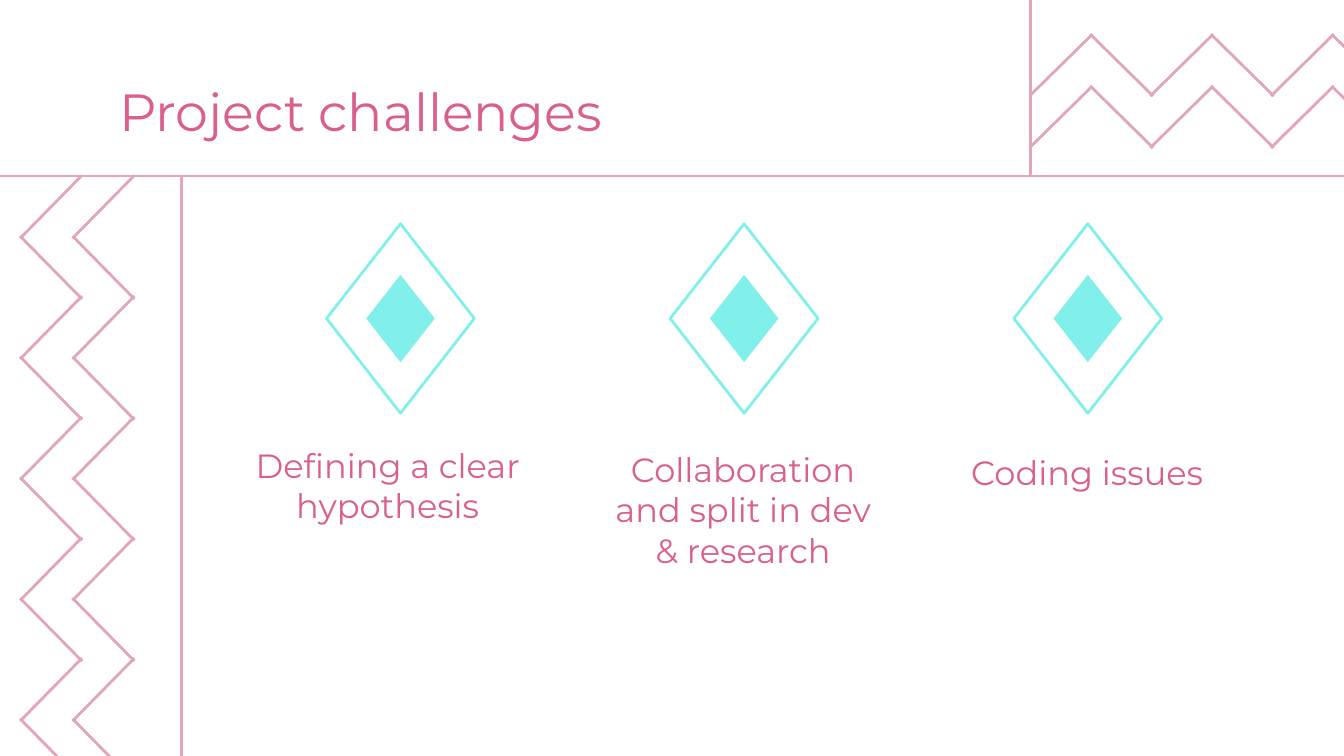
from dataclasses import dataclass

from pptx import Presentation
from pptx.dml.color import RGBColor as Rgb
from pptx.enum.shapes import MSO_CONNECTOR as Wire, MSO_SHAPE as Form
from pptx.enum.text import MSO_ANCHOR as Anchor, PP_ALIGN as Align
from pptx.oxml.ns import qn
from pptx.slide import Slide
from pptx.util import Inches, Pt

COLS, ROWS = 100, 56.25
CELL = Inches(0.1)
FONT = "Montserrat"
HUES = {"text": "D95F8E", "line": "E1A5BC", "gem": "81F0EA"}
STROKE = Pt(1.5)
STEP = 8.98  # gap between zigzag tips
ARM = 4.6    # run of one zigzag arm
SLIP = 0.08  # overlap of two arms at a tip


@dataclass
class Label:
    lines: list[str]
    col: float
    row: float
    wide: float
    high: float = 6
    size: int = 18
    align: Align = Align.CENTER
    anchor: Anchor = Anchor.BOTTOM


@dataclass
class Zigzag:
    col: float
    row: float
    tips: int
    down: bool


TITLE = Label(["Project challenges"], 7.9, 4.9, 84.3, 6.4, 28, Align.LEFT, Anchor.TOP)
LABELS = [
    Label(["Defining a clear hypothesis"], 16.6, 34.1, 24.5),
    Label(["Collaboration", "and split in dev & research"], 44, 37.4, 22.6),
    Label(["Coding issues"], 69.6, 31.6, 22.6),
]
RULES = [
    (-1.8, 13.1, COLS + 1.8, 13.1),
    (76.7, -3.2, 76.7, 13.1),
    (13.5, 13, 13.5, ROWS + 1.5),
]
ZIGZAGS = [
    Zigzag(81.2, 6.4, 3, False),
    Zigzag(81.2, 2.55, 3, False),
    Zigzag(5.4, 17.65, 5, True),
    Zigzag(1.5, 17.65, 5, True),
]


def grid(*cells: float) -> list[int]:
    return [round(cell * CELL) for cell in cells]


def hue(name: str) -> Rgb:
    return Rgb.from_string(HUES[name])


def draw_label(slide: Slide, label: Label) -> None:
    frame = slide.shapes.add_textbox(
        *grid(label.col, label.row, label.wide, label.high)).text_frame
    style = {"word_wrap": True, "vertical_anchor": label.anchor}
    style |= {f"margin_{side}": CELL for side in ("left", "top", "right", "bottom")}
    for key, value in style.items():
        setattr(frame, key, value)
    frame.text = "\n".join(label.lines)
    for para in frame.paragraphs:
        para.alignment = label.align
        for key, value in {"name": FONT, "size": Pt(label.size)}.items():
            setattr(para.font, key, value)
        para.font.color.rgb = hue("text")


def draw_gem(slide: Slide, col: float, row: float) -> None:
    """Draw a hollow diamond around a solid one, centred on a cell."""
    for wide, high, solid in ((11, 14.1, False), (5.1, 6.5, True)):
        gem = slide.shapes.add_shape(
            Form.FLOWCHART_DECISION,
            *grid(col - wide / 2, row - high / 2, wide, high))
        gem.shadow.inherit = False
        if solid:
            gem.fill.solid()
            gem.fill.fore_color.rgb = hue("gem")
            gem.line.fill.background()
        else:
            gem.fill.background()
            gem.line.color.rgb = hue("gem")
            gem.line.width = STROKE


def draw_line(slide: Slide, *ends: float) -> None:
    line = slide.shapes.add_connector(Wire.STRAIGHT, *grid(*ends))
    line.line.color.rgb = hue("line")
    line.line.width = STROKE
    props = line._element.spPr
    props.append(props.makeelement(qn("a:effectLst"), {}))


def draw_zigzag(slide: Slide, zigzag: Zigzag) -> None:
    """Draw two arms from each tip; tips run down or across the slide."""
    for tip in range(zigzag.tips):
        for way in (-1, 1):
            if zigzag.down:
                col, row = zigzag.col, zigzag.row + tip * STEP
                draw_line(slide, col, row - way * SLIP, col + ARM, row + way * ARM)
            else:
                col, row = zigzag.col + tip * STEP, zigzag.row
                draw_line(slide, col - way * SLIP, row, col + way * ARM, row + ARM)


def main() -> None:
    deck = Presentation()
    deck.slide_width, deck.slide_height = grid(COLS, ROWS)
    slide = deck.slides.add_slide(deck.slide_layouts[6])
    for label in [TITLE, *LABELS]:
        draw_label(slide, label)
    for spot in range(len(LABELS)):
        draw_gem(slide, 29.8 + spot * 25.57, 23.7)
    for rule in RULES:
        draw_line(slide, *rule)
    for zigzag in ZIGZAGS:
        draw_zigzag(slide, zigzag)
    deck.save("out.pptx")


if __name__ == "__main__":
    main()
